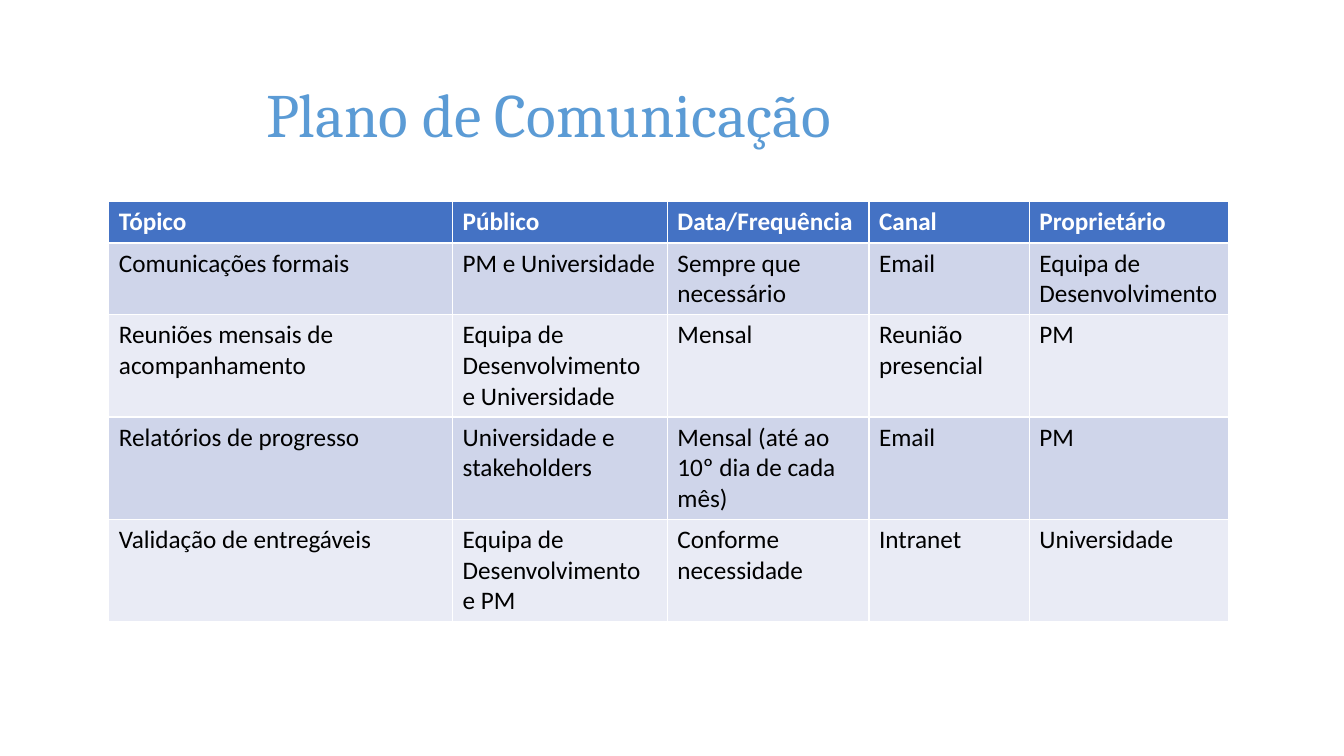
import pptx
import pptx.dml.color
import pptx.enum.text
import pptx.util


def color(hex_value):
    return pptx.dml.color.RGBColor.from_string(hex_value)


class SlideBuilder:
    GRID = 100
    TITLE_FONT = "Cambria"
    BODY_FONT = "Calibri"
    TITLE_COLOR = "5B9BD5"
    HEADER_FILL = "4472C4"
    BAND_FILLS = ("E9EBF5", "CFD5EA")

    def __init__(self, presentation):
        self.column = presentation.slide_width / self.GRID
        self.row = presentation.slide_height / self.GRID
        self.slide = presentation.slides.add_slide(presentation.slide_layouts[5])

    def across(self, columns):
        return pptx.util.Emu(round(columns * self.column))

    def down(self, rows):
        return pptx.util.Emu(round(rows * self.row))

    def style(self, paragraph, font, size, hex_value, bold=False):
        paragraph.font.name = font
        paragraph.font.size = pptx.util.Pt(size)
        paragraph.font.bold = bold
        paragraph.font.color.rgb = color(hex_value)

    def title(self, text, left, top, width, height):
        title = self.slide.shapes.title
        title.left, title.top = self.across(left), self.down(top)
        title.width, title.height = self.across(width), self.down(height)
        title.text_frame.text = text
        title.text_frame.vertical_anchor = pptx.enum.text.MSO_ANCHOR.MIDDLE
        heading = title.text_frame.paragraphs[0]
        heading.alignment = pptx.enum.text.PP_ALIGN.LEFT
        self.style(heading, self.TITLE_FONT, 44, self.TITLE_COLOR)

    def table(self, entries, left, top, widths, row_height):
        table = self.slide.shapes.add_table(
            len(entries), len(widths), self.across(left), self.down(top),
            self.across(sum(widths)), self.down(row_height * len(entries)),
        ).table
        for column, width in zip(table.columns, widths):
            column.width = self.across(width)
        for index, entry in enumerate(entries):
            header = index == 0
            fill = self.HEADER_FILL if header else self.BAND_FILLS[index % 2]
            table.rows[index].height = self.down(row_height)
            for cell, text in zip(table.rows[index].cells, entry):
                cell.text = text
                cell.fill.solid()
                cell.fill.fore_color.rgb = color(fill)
                self.style(cell.text_frame.paragraphs[0], self.BODY_FONT, 18,
                           "FFFFFF" if header else "000000", header)


COMMUNICATIONS = (
    ("Tópico", "Público", "Data/Frequência", "Canal", "Proprietário"),
    ("Comunicações formais", "PM e Universidade", "Sempre que necessário",
     "Email", "Equipa de Desenvolvimento"),
    ("Reuniões mensais de acompanhamento",
     "Equipa de Desenvolvimento e Universidade", "Mensal",
     "Reunião presencial", "PM"),
    ("Relatórios de progresso", "Universidade e stakeholders",
     "Mensal (até ao 10º dia de cada mês)", "Email", "PM"),
    ("Validação de entregáveis", "Equipa de Desenvolvimento e PM",
     "Conforme necessidade", "Intranet", "Universidade"),
)


def main():
    presentation = pptx.Presentation()
    presentation.slide_width = pptx.util.Inches(13.33)
    presentation.slide_height = pptx.util.Inches(7.5)
    plan = SlideBuilder(presentation)
    plan.title("Plano de Comunicação", 19.05, 5.33, 74.12, 19.33)
    plan.table(COMMUNICATIONS, 8.1, 26.67, (25.58, 15.98, 15, 11.93, 14.85), 5.47)
    presentation.save("out.pptx")


if __name__ == "__main__":
    main()
